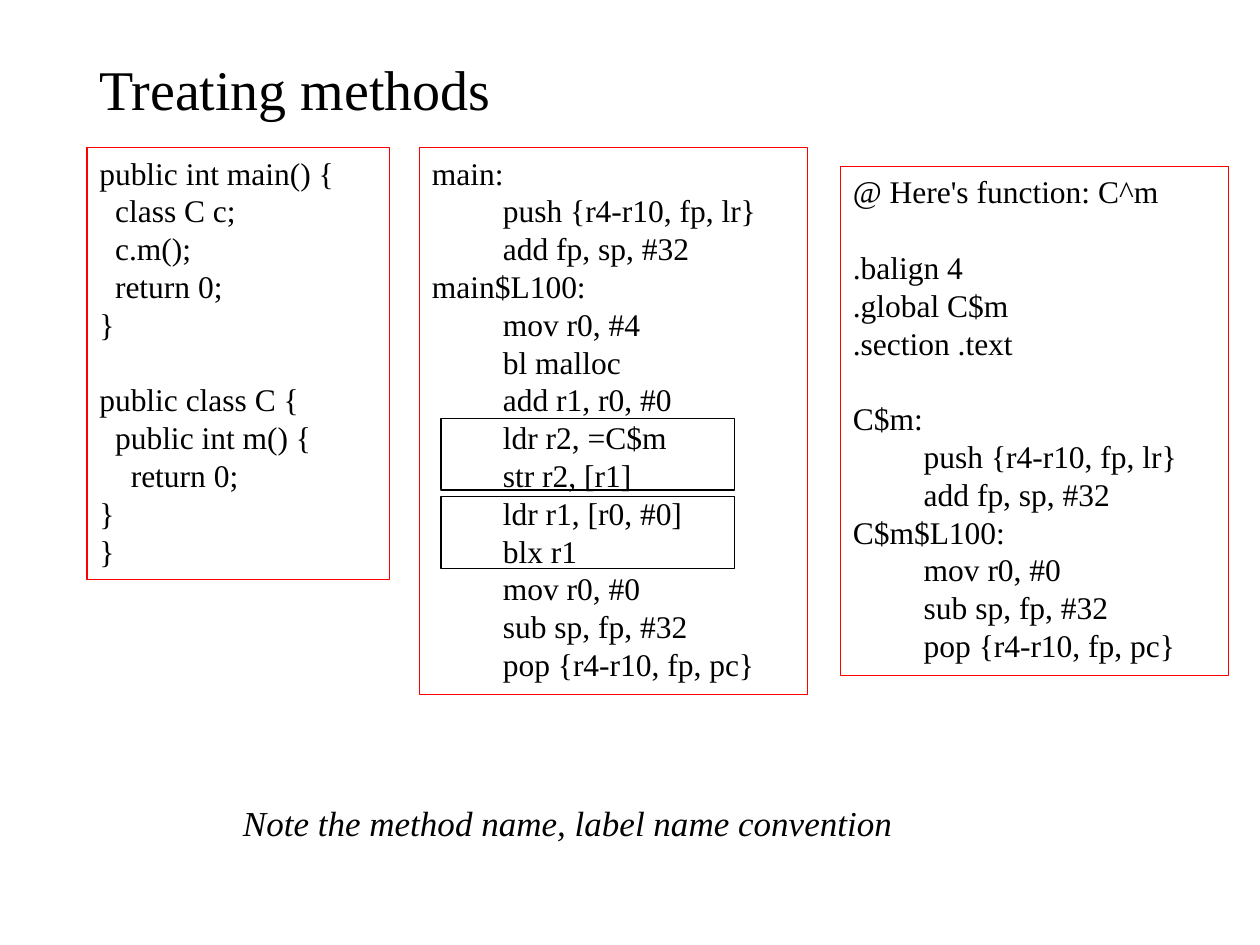
from pptx import Presentation
from pptx.dml.color import RGBColor
from pptx.enum import shapes, text
from pptx.util import Inches, Pt

FONT = "Times New Roman"
BLACK, RED = "000000", "FF0000"
CODE_SIZE = 18
CODE_LEADING = 21.6
SPACE_WIDTH = CODE_SIZE / 4

JAVA_CODE = """\
public int main() {
  class C c;
  c.m();
  return 0;
}

public class C {
  public int m() {
    return 0;
}
}"""

MAIN_ASSEMBLY = """\
main:
         push {r4-r10, fp, lr}
         add fp, sp, #32
main$L100:
         mov r0, #4
         bl malloc
         add r1, r0, #0
         ldr r2, =C$m
         str r2, [r1]
         ldr r1, [r0, #0]
         blx r1
         mov r0, #0
         sub sp, fp, #32
         pop {r4-r10, fp, pc}"""

METHOD_ASSEMBLY = """\
@ Here's function: C^m

.balign 4
.global C$m
.section .text

C$m:
         push {r4-r10, fp, lr}
         add fp, sp, #32
C$m$L100:
         mov r0, #0
         sub sp, fp, #32
         pop {r4-r10, fp, pc}"""


def color(value):
    return RGBColor.from_string(value)


def set_font(paragraph, size, italic=None):
    paragraph.font.name = FONT
    paragraph.font.size = Pt(size)
    paragraph.font.italic = italic
    paragraph.font.color.rgb = color(BLACK)


def add_text(slide, box, content, size, italic=None, wrap=True, margin_top=0.05):
    shape = slide.shapes.add_textbox(*map(Inches, box))
    frame = shape.text_frame
    frame.word_wrap = wrap
    frame.margin_top = Inches(margin_top)
    paragraph = frame.paragraphs[0]
    paragraph.text = content
    set_font(paragraph, size, italic)


def add_frame(slide, box, line_color):
    """Add an unfilled rectangle with a thin outline."""
    shape = slide.shapes.add_shape(shapes.MSO_SHAPE.RECTANGLE, *map(Inches, box))
    shape.shadow.inherit = False
    shape.fill.background()
    shape.line.color.rgb = color(line_color)
    shape.line.width = Pt(0.75)
    return shape


def add_code(slide, box, code):
    """Add a red frame; leading spaces become indents, empty lines become gaps."""
    frame = add_frame(slide, box, RED).text_frame
    frame.word_wrap = True
    frame.vertical_anchor = text.MSO_ANCHOR.TOP
    paragraph = frame.paragraphs[0]
    gap = 0
    for number, line in enumerate(code.splitlines()):
        if not line:
            gap += CODE_LEADING
            continue
        if number:
            paragraph = frame.add_paragraph()
        content = line.lstrip()
        paragraph.text = content
        paragraph.alignment = text.PP_ALIGN.LEFT
        paragraph.line_spacing = Pt(CODE_LEADING)
        paragraph.space_before = Pt(gap)
        indent = Pt((len(line) - len(content)) * SPACE_WIDTH)
        paragraph._p.get_or_add_pPr().set("marL", str(indent))
        set_font(paragraph, CODE_SIZE)
        gap = 0


def main():
    presentation = Presentation()
    presentation.slide_width, presentation.slide_height = Inches(10), Inches(7.5)
    slide = presentation.slides.add_slide(presentation.slide_layouts[6])

    add_text(slide, (0.69, 0.33, 8.63, 0.5), "Treating methods", 32, margin_top=0.1)
    add_code(slide, (0.69, 1.17, 2.4, 3.43), JAVA_CODE)
    add_code(slide, (3.33, 1.17, 3.08, 4.34), MAIN_ASSEMBLY)
    add_code(slide, (6.67, 1.32, 3.08, 4.04), METHOD_ASSEMBLY)
    for top in (3.32, 3.94):
        add_frame(slide, (3.5, top, 2.33, 0.57), BLACK)
    add_text(slide, (1.83, 6.31, 5.42, 0.44),
             "Note the method name, label name convention", 20, italic=True, wrap=False)

    presentation.save("out.pptx")


if __name__ == "__main__":
    main()
